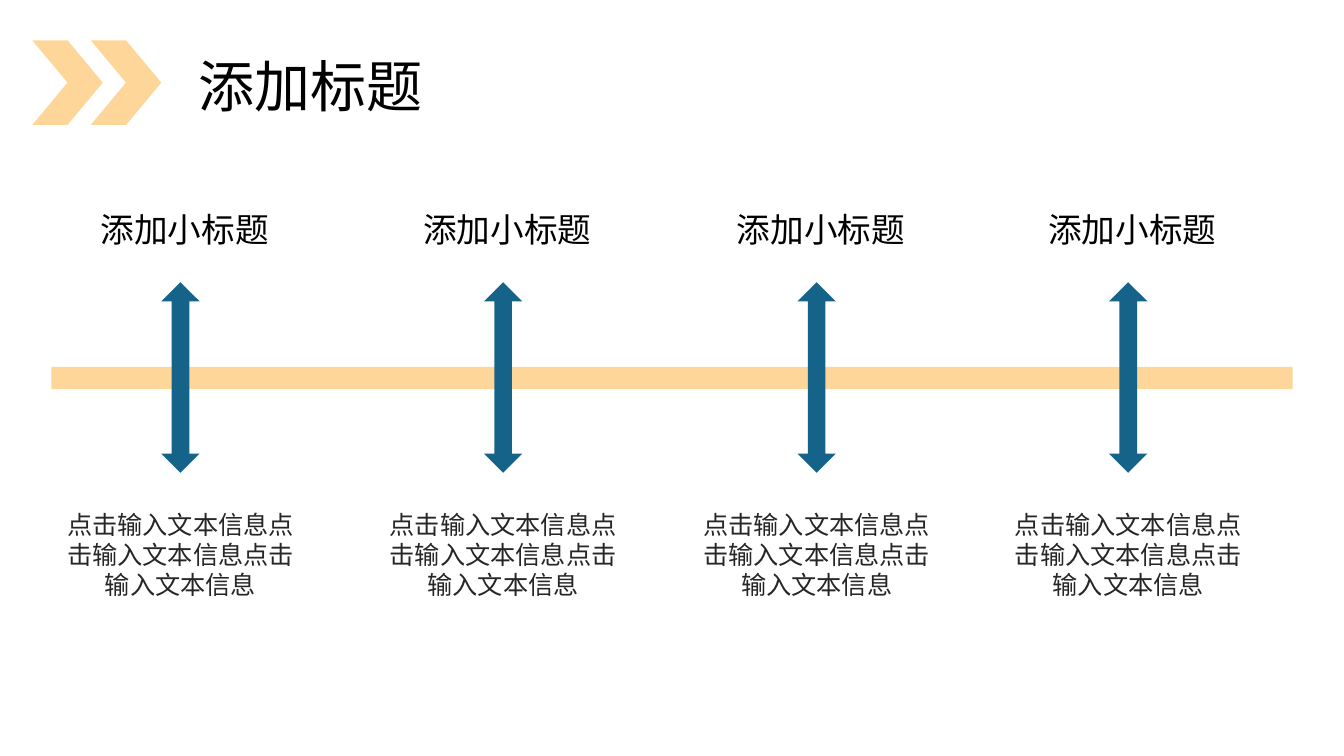
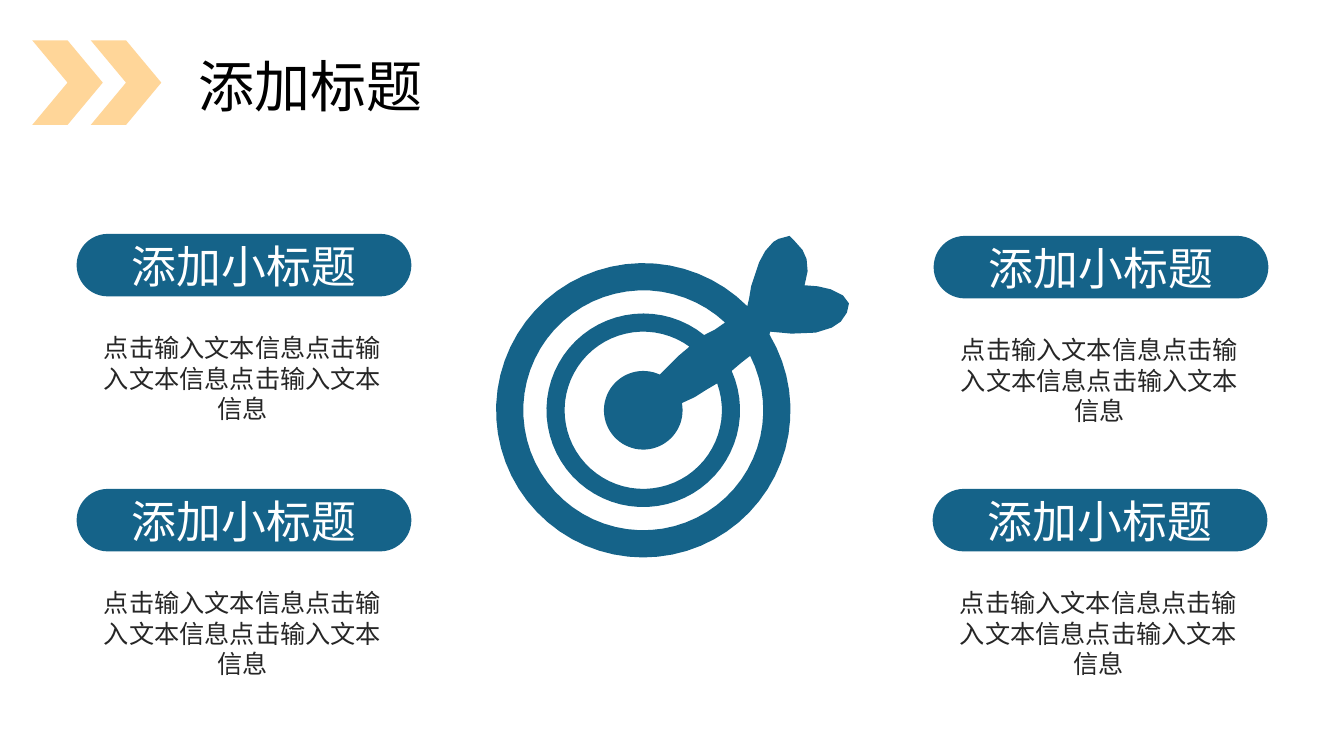
from math import cos, radians, sin

from lxml.etree import SubElement
from pptx import Presentation
from pptx.dml.color import RGBColor as Rgb
from pptx.enum.shapes import MSO_SHAPE as Shape
from pptx.enum.text import MSO_ANCHOR as Anchor, PP_ALIGN as Align
from pptx.oxml.ns import qn
from pptx.util import Emu, Pt

PX = 9144
FONT = "Noto Sans CJK SC"
COLORS = {
    "sand": "FFD699",
    "blue": "156389",
    "black": "000000",
    "body": "262626",
    "white": "FFFFFF",
}
TITLE = "添加标题"
SUBTITLE = "添加小标题"
BODY = "点击输入文本信息" * 3


def px(length):
    """Turn a length in px into EMU."""
    return Emu(round(length * PX))


def paint(shape, color):
    """Give a shape a plain fill without line or shadow."""
    shape.shadow.inherit = False
    shape.fill.solid()
    shape.fill.fore_color.rgb = Rgb.from_string(COLORS[color])
    shape.line.fill.background()


def add_block(page, kind, box, color, adjustments=()):
    """Add a filled preset shape."""
    shape = page.shapes.add_shape(kind, *map(px, box))
    paint(shape, color)
    for index, value in enumerate(adjustments):
        shape.adjustments[index] = value
    return shape


def write(shape, text, size=18, color="black", align=Align.LEFT, wrap=True, anchor=Anchor.TOP):
    """Write one formatted paragraph into a shape."""
    frame = shape.text_frame
    frame.word_wrap = wrap
    frame.vertical_anchor = anchor
    para = frame.paragraphs[0]
    para.alignment = align
    span = para.add_run()
    span.text = text
    span.font.size = Pt(size)
    span.font.color.rgb = Rgb.from_string(COLORS[color])
    span.font.name = FONT
    SubElement(span.font._element, qn("a:ea"), typeface=FONT)


def add_text(page, box, text, **style):
    """Add a text box."""
    write(page.shapes.add_textbox(*map(px, box)), text, **style)


def add_body(page, box):
    """Add a centred body paragraph."""
    add_text(page, box, BODY, color="body", align=Align.CENTER)


def add_header(page, left, top):
    """Place the double chevron and the slide title."""
    for step in range(2):
        add_block(page, Shape.CHEVRON, (left + 58 * step, top, 70, 84), "sand")
    add_text(page, (left + 155, top + 6, 242, 77), TITLE, size=40, wrap=False)


def add_milestone(page, center, top):
    """Place a heading, a double arrow and a body text around one centre line."""
    add_block(page, Shape.UP_DOWN_ARROW, (center - 19, top + 78, 38, 189), "blue", (0.653, 0.461))
    add_text(page, (center - 89, top, 207, 50), SUBTITLE, size=24)
    add_body(page, (center - 132, top + 298, 264, 101))


def add_card(page, left, top):
    """Place a pill heading with a body text below."""
    pill = add_block(page, Shape.ROUNDED_RECTANGLE, (left, top, 332, 62), "blue", (0.5,))
    write(pill, SUBTITLE, size=32, color="white", align=Align.CENTER, wrap=False, anchor=Anchor.MIDDLE)
    add_body(page, (left + 14, top + 93, 301, 101))


def arc(radius, start, end):
    """List points on an arc around the origin, angles in degrees."""
    steps = 60
    angles = [radians(start + (end - start) * step / steps) for step in range(steps + 1)]
    return [(radius * cos(angle), radius * sin(angle)) for angle in angles]


def add_target(page, center_x, center_y):
    """Draw a target with a dart in its bullseye as one outline with two gaps."""
    feathers = [
        (105, -111), (107, -123), (111, -135), (115, -147), (121, -158),
        (129, -167), (134, -170), (145, -173), (150, -168), (158, -159),
        (162, -150), (163, -138), (160, -124), (173, -123), (186, -120),
        (198, -114), (204, -106), (202, -97), (196, -88), (187, -82),
        (171, -77), (147, -76), (126, -78),
    ]
    inner_gap = arc(78, 306, -20) + [(62, -20), (51, -13), (38, -7)]
    inner_gap += arc(39, -10, 295) + [(25, -44), (35, -54)]
    outer_gap = arc(119, 313, -27) + [(97, -47)] + arc(96, -24, 309) + [(71, -80)]
    outlines = [arc(146, -31, 315) + feathers, outer_gap, inner_gap]
    builder = None
    for outline in outlines:
        points = [(px(x), px(y)) for x, y in outline]
        if builder is None:
            builder = page.shapes.build_freeform(*points[0], scale=1.0)
        else:
            builder.move_to(*points[0])
        builder.add_line_segments(points[1:], close=True)
    paint(builder.convert_to_shape(px(center_x), px(center_y)), "blue")


def add_page(deck):
    """Add a blank slide with the shared header."""
    page = deck.slides.add_slide(deck.slide_layouts[6])
    add_header(page, 32, 40)
    return page


def build_timeline(deck):
    """Build the slide with four milestones on a bar."""
    page = add_page(deck)
    add_block(page, Shape.RECTANGLE, (51, 364, 1231, 22), "sand")
    for center in (179, 499, 810, 1119):
        add_milestone(page, center, 202)


def build_goals(deck):
    """Build the slide with four cards around a target."""
    page = add_page(deck)
    add_target(page, 638, 407)
    for left, top in ((76, 232), (926, 234), (76, 485), (925, 485)):
        add_card(page, left, top)


def main():
    """Build and save the deck."""
    deck = Presentation()
    deck.slide_width, deck.slide_height = px(1333), px(750)
    build_timeline(deck)
    build_goals(deck)
    deck.save("out.pptx")


if __name__ == "__main__":
    main()
